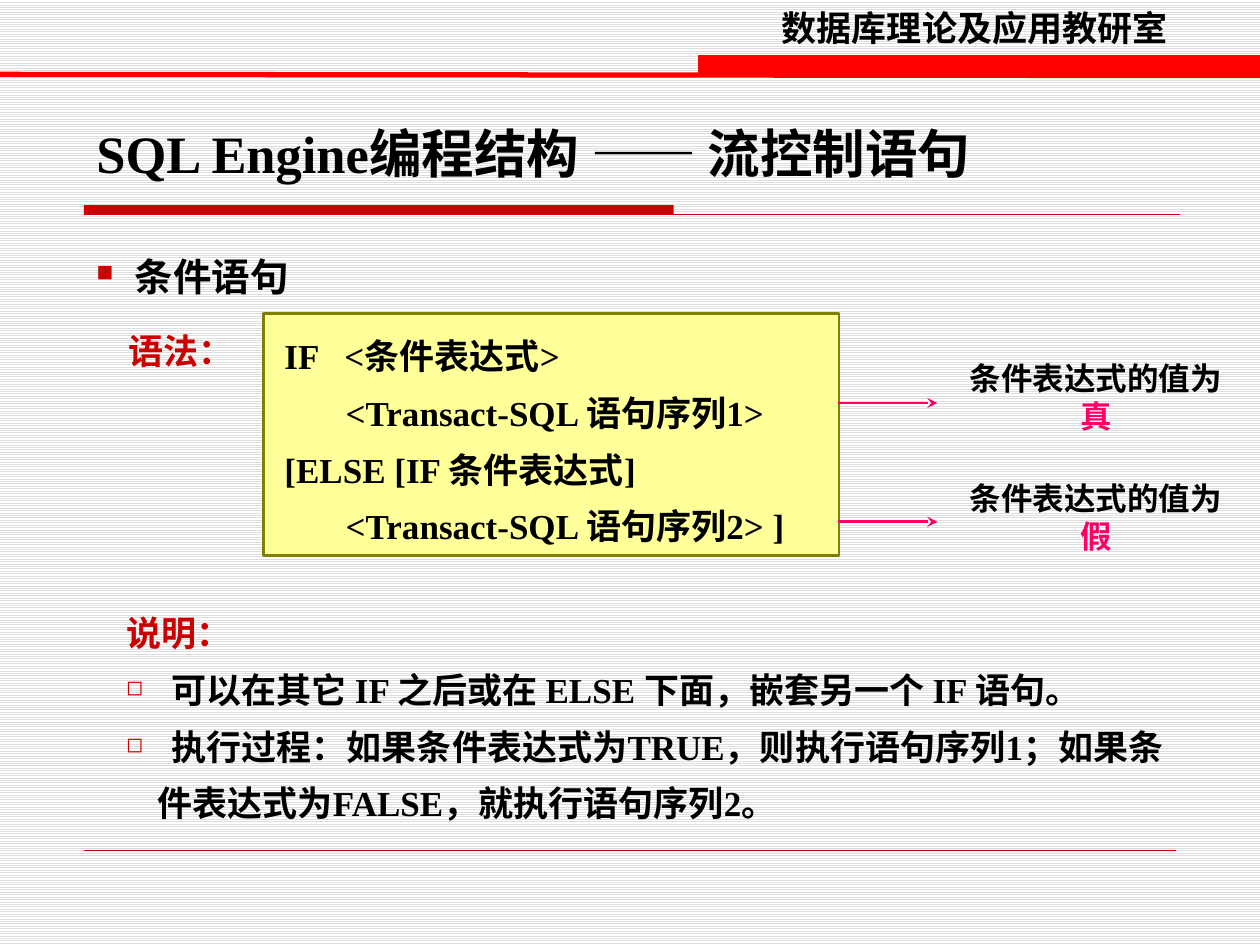
from dataclasses import dataclass

from lxml import etree
from pptx import Presentation
from pptx.dml.color import RGBColor
from pptx.enum.dml import MSO_PATTERN
from pptx.enum.shapes import MSO_CONNECTOR, MSO_SHAPE
from pptx.enum.text import MSO_ANCHOR, PP_ALIGN
from pptx.oxml.ns import qn
from pptx.util import Pt

LEFT, CENTER = PP_ALIGN.LEFT, PP_ALIGN.CENTER
TOP, MIDDLE = MSO_ANCHOR.TOP, MSO_ANCHOR.MIDDLE
RECTANGLE, STRAIGHT = MSO_SHAPE.RECTANGLE, MSO_CONNECTOR.STRAIGHT
STRIPES = MSO_PATTERN.LIGHT_HORIZONTAL
SERIF = "Times New Roman"
BLACK, RED, BRIGHT_RED, PINK = "000000", "CC0000", "FF0000", "FF0066"
YELLOW, OLIVE, GRAY, WHITE = "FFFF99", "808000", "DDDDDD", "FFFFFF"


@dataclass
class Line:
    text: str
    size: float = 20
    color: str = BLACK
    font: str = SERIF
    align: PP_ALIGN = LEFT
    spacing: float = 1.0
    margin: float = 0
    bullet: str = ""
    ending: str = ""


@dataclass
class TextBox:
    left: float
    top: float
    width: float
    height: float
    lines: list[Line]
    wrap: bool = True
    anchor: MSO_ANCHOR = TOP


@dataclass
class Outcome:
    top: float
    arrow_top: float
    value: str


def rgb(color: str) -> RGBColor:
    """Turn a hex string into a colour."""
    return RGBColor.from_string(color)


def set_indent(paragraph, line: Line) -> None:
    """Set the left margin and, where there is one, the hanging bullet."""
    properties = paragraph._p.get_or_add_pPr()
    properties.set("marL", str(Pt(line.margin)))
    if line.bullet:
        properties.set("indent", str(-Pt(line.margin)))
        bullet_color = etree.SubElement(properties, qn("a:buClr"))
        etree.SubElement(bullet_color, qn("a:srgbClr"), val=RED)
        etree.SubElement(properties, qn("a:buSzPct"), val="60000")
        etree.SubElement(properties, qn("a:buChar"), char=line.bullet)


def write_lines(frame, lines: list[Line]) -> None:
    """Fill a text frame with one paragraph per line."""
    for index, line in enumerate(lines):
        paragraph = frame.add_paragraph() if index else frame.paragraphs[0]
        paragraph.alignment = line.align
        paragraph.line_spacing = line.spacing
        set_indent(paragraph, line)
        paragraph.font.size = Pt(line.size)
        paragraph.font.name = line.font
        paragraph.font.bold = True
        paragraph.font.color.rgb = rgb(line.color)
        paragraph.add_run().text = line.text
        if line.ending:
            run = paragraph.add_run()
            run.text = line.ending
            run.font.color.rgb = rgb(PINK)


def draw_text(slide, box: TextBox) -> None:
    """Draw a text box."""
    shape = slide.shapes.add_textbox(Pt(box.left), Pt(box.top), Pt(box.width), Pt(box.height))
    shape.text_frame.word_wrap = box.wrap
    shape.text_frame.vertical_anchor = box.anchor
    write_lines(shape.text_frame, box.lines)


def draw_rectangle(slide, left: float, top: float, width: float, height: float,
                   fill: str, border: str = "", weight: float = 0.75):
    """Draw a filled rectangle with an optional border."""
    shape = slide.shapes.add_shape(RECTANGLE, Pt(left), Pt(top), Pt(width), Pt(height))
    shape.shadow.inherit = False
    shape.fill.solid()
    shape.fill.fore_color.rgb = rgb(fill)
    if border:
        shape.line.color.rgb = rgb(border)
        shape.line.width = Pt(weight)
    else:
        shape.line.fill.background()
    return shape


def draw_line(slide, start: tuple[float, float], end: tuple[float, float],
              color: str, weight: float, arrow: bool = False) -> None:
    """Draw a straight line, with an arrowhead at its end if asked."""
    points = [Pt(value) for value in (*start, *end)]
    connector = slide.shapes.add_connector(STRAIGHT, *points)
    connector.line.color.rgb = rgb(color)
    connector.line.width = Pt(weight)
    if arrow:
        etree.SubElement(connector.line._get_or_add_ln(), qn("a:tailEnd"), type="stealth")
    etree.SubElement(connector._element.spPr, qn("a:effectLst"))


def draw_frame(slide) -> None:
    """Draw the striped background, the header and the rules."""
    background = slide.background.fill
    background.patterned()
    background.pattern = STRIPES
    background.fore_color.rgb = rgb(GRAY)
    background.back_color.rgb = rgb(WHITE)
    draw_rectangle(slide, 48, 117.25, 337, 5.5, RED)
    draw_line(slide, (48, 122.75), (674.5, 122.75), RED, 0.75)
    draw_line(slide, (48, 486), (672, 486), RED, 0.25)
    draw_line(slide, (0, 42.5), (720, 43.2), BRIGHT_RED, 3)
    draw_rectangle(slide, 399.5, 31.7, 320.5, 11.5, BRIGHT_RED, BRIGHT_RED)
    draw_text(slide, TextBox(394, 0, 326, 31, [
        Line("数据库理论及应用教研室", font="Arial", align=CENTER)]))


def draw_syntax(slide) -> None:
    """Draw the syntax panel and its two outcomes."""
    panel = draw_rectangle(slide, 150.5, 179.3, 329, 138.2, YELLOW, OLIVE, 1.5)
    panel.text_frame.word_wrap = True
    panel.text_frame.vertical_anchor = TOP
    write_lines(panel.text_frame, [
        Line(text, spacing=1.35, margin=margin) for text, margin in (
            ("IF   <条件表达式>", 5),
            ("<Transact-SQL 语句序列1>", 40),
            ("[ELSE [IF 条件表达式]", 5),
            ("<Transact-SQL 语句序列2> ]", 40))])
    for outcome in (Outcome(213, 230.3, "真"), Outcome(281.3, 298.2, "假")):
        draw_text(slide, TextBox(547, outcome.top, 158.4, 28, [
            Line("条件表达式的值为", 18, align=CENTER, ending=outcome.value)],
            wrap=False, anchor=MIDDLE))
        draw_line(slide, (479, outcome.arrow_top), (535.7, outcome.arrow_top), PINK, 1.5, True)


def draw_body(slide) -> None:
    """Draw the title, the topic, the label and the explanation."""
    draw_text(slide, TextBox(48, 65.5, 550, 39.5, [Line("SQL Engine编程结构 —— 流控制语句", 30)]))
    draw_text(slide, TextBox(48, 128, 148, 47, [
        Line("条件语句", 22, spacing=1.5, margin=22, bullet="■")]))
    draw_text(slide, TextBox(65, 185, 81, 31, [
        Line("语法： ", color=RED, font="Lato", align=CENTER)], wrap=False))
    draw_text(slide, TextBox(65, 337.7, 607, 137, [
        Line("说明：", color=RED, spacing=1.35),
        Line("可以在其它 IF 之后或在 ELSE 下面，嵌套另一个 IF 语句。",
             spacing=1.35, margin=26, bullet="◻"),
        Line("执行过程：如果条件表达式为TRUE，则执行语句序列1；如果条",
             spacing=1.35, margin=26, bullet="◻"),
        Line("件表达式为FALSE，就执行语句序列2。", spacing=1.35, margin=18)]))


def main() -> None:
    """Build and save the slide."""
    presentation = Presentation()
    presentation.slide_width, presentation.slide_height = Pt(720), Pt(540)
    slide = presentation.slides.add_slide(presentation.slide_layouts[6])
    draw_frame(slide)
    draw_body(slide)
    draw_syntax(slide)
    presentation.save("out.pptx")


if __name__ == "__main__":
    main()
